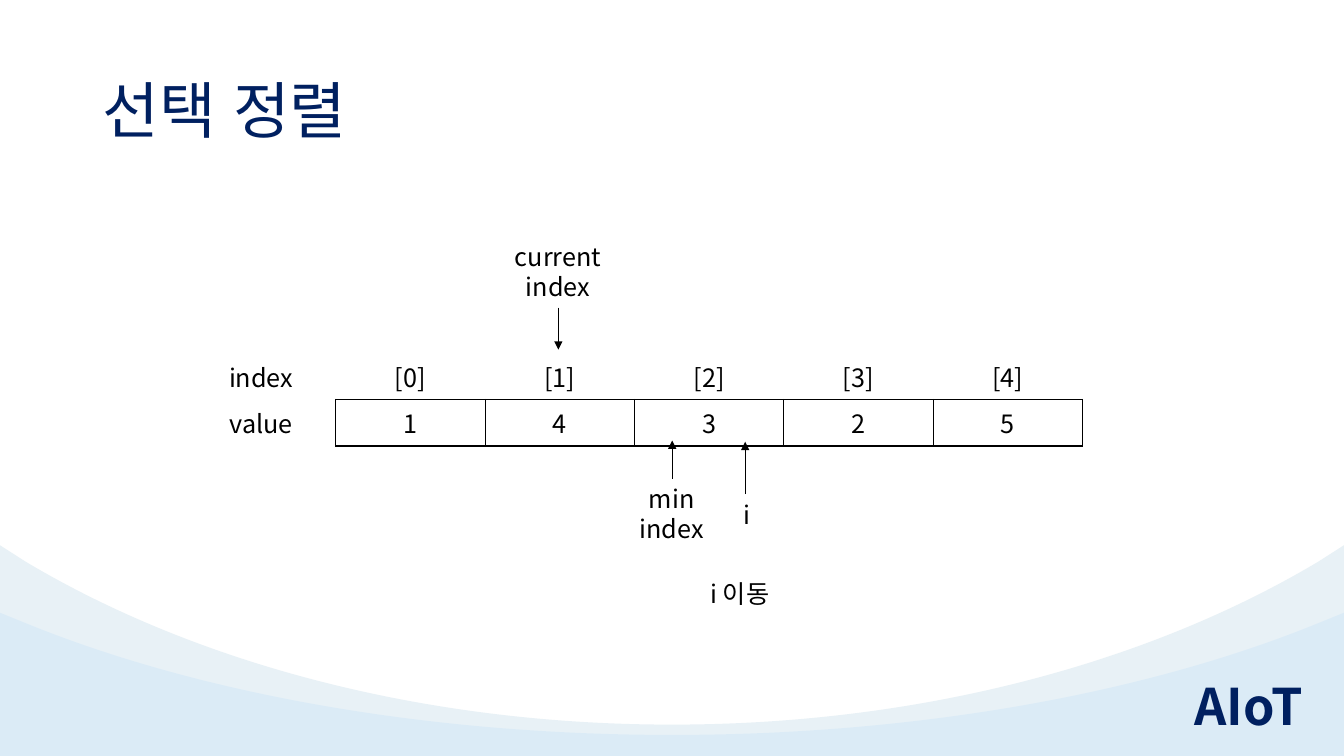
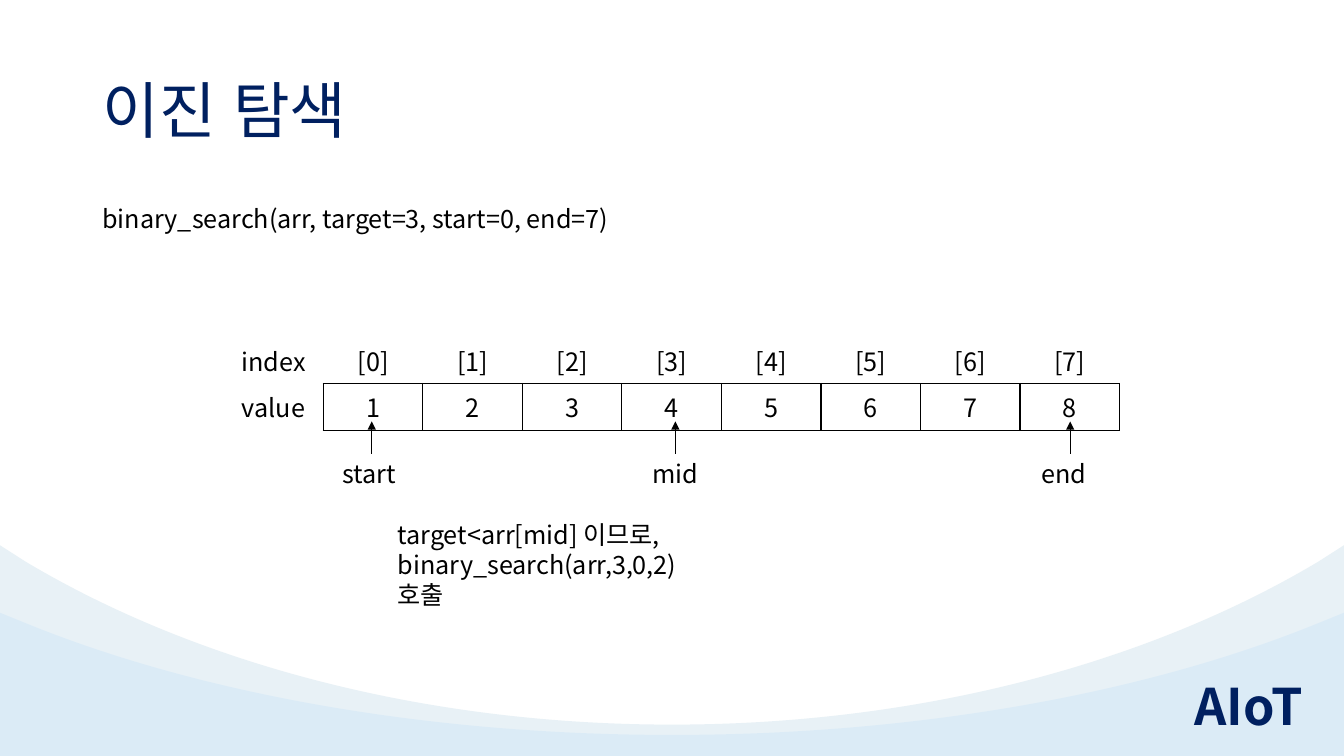
from lxml import etree
from pptx import Presentation
from pptx.dml.color import RGBColor
from pptx.enum import lang, shapes, text
from pptx.oxml.ns import qn
from pptx.util import Cm, Pt

FONT = "Noto Sans CJK KR"
NAVY = RGBColor(0x00, 0x20, 0x60)
BLACK = RGBColor(0x00, 0x00, 0x00)
WHITE = RGBColor(0xFF, 0xFF, 0xFF)
PALE = RGBColor(0xE8, 0xF1, 0xF6)
SKY = RGBColor(0x7A, 0xC2, 0xF9)
LEFT, CENTER = text.PP_ALIGN.LEFT, text.PP_ALIGN.CENTER
W, H = 33.87, 19.05
TABLE_W, ROW_H = 22.58, 1.03


def write(p, words, size=18, color=BLACK, align=LEFT, bold=False):
    p.text = words
    p.alignment = align
    p.font.size, p.font.name, p.font.bold = Pt(size), FONT, bold
    p.font.color.rgb = color
    props = p._p.get_or_add_pPr().get_or_add_defRPr()
    etree.SubElement(props, qn("a:ea"), typeface=FONT)


def add_text(s, words, x, y, w, h=1.03, **style):
    sp = s.shapes.add_textbox(Cm(x), Cm(y), Cm(w), Cm(h))
    sp.text_frame.word_wrap = True
    write(sp.text_frame.paragraphs[0], words, **style)
    return sp


# Content: table is (left, top, values); labels are (words, x, y, width, align);
# arrows are (x, tail y, head y)
SLIDES = [
    dict(title="선택 정렬",
         table=(4.7, 8.89, "14325"),
         arrows=[(14.07, 7.75, 8.81), (16.94, 12.07, 11.1),
                 (18.78, 12.45, 11.13)],
         labels=[("current index", 12.59, 5.96, 2.95, CENTER),
                 ("min\nindex", 15.75, 12.06, 2.36, CENTER),
                 ("i", 18.49, 12.45, 0.61, LEFT),
                 ("i 이동", 17.65, 14.45, 2.4, LEFT)]),
    dict(title="이진 탐색",
         table=(5.64, 8.49, "12345678"),
         arrows=[(x, 11.43, 10.62) for x in (9.37, 17.02, 26.97)],
         labels=[("binary_search(arr, target=3, start=0, end=7)",
                  2.33, 5, 29.21, LEFT),
                 ("start", 8.38, 11.43, 1.96, LEFT),
                 ("mid", 16.19, 11.43, 1.68, LEFT),
                 ("end", 25.99, 11.43, 1.96, LEFT),
                 ("target<arr[mid] 이므로,\nbinary_search(arr,3,0,2) 호출",
                  9.77, 12.95, 8.56, LEFT)]),
]

prs = Presentation()
prs.slide_width, prs.slide_height = Cm(W), Cm(H)
layout = prs.slide_layouts[5]

for number, content in enumerate(SLIDES):
    s = prs.slides.add_slide(layout)

    # Shared bands and footer: drawn once, then moved to the layout
    if number == 0:
        decor = []
        # y of the edge, the shoulder, and two handles; the last is the middle
        for ys, color in [((13.74, 14.15, 16.71, 18.26, 18.26), PALE),
                          ((15.44, 15.7, 17.45, 18.52, 18.52), SKY)]:
            half = list(zip((0, 0.64, 4.93, 10.67, W / 2), ys))
            outline = half + [(W - x, y) for x, y in half[-2::-1]]
            outline += [(W, H), (0, H)]
            points = [(Cm(x), Cm(y)) for x, y in outline]
            builder = s.shapes.build_freeform(*points[0])
            builder.add_line_segments(points[1:], close=True)
            sp = builder.convert_to_shape()
            # Each half's two handles and end point become one Bezier curve
            outline_path = sp.element.find(".//" + qn("a:path"))
            lines = outline_path.findall(qn("a:lnTo"))
            for first in (1, 4):
                curve = etree.Element(qn("a:cubicBezTo"))
                lines[first].addprevious(curve)
                for line in lines[first:first + 3]:
                    curve.append(line[0])
                    outline_path.remove(line)
            sp.shadow.inherit = False
            sp.fill.solid()
            sp.fill.fore_color.rgb = color
            sp.line.fill.background()
            decor.append(sp)
        tint = decor[1].element.spPr.find(".//" + qn("a:srgbClr"))
        etree.SubElement(tint, qn("a:alpha"), val="11000")
        decor.append(add_text(s, "AIoT", 29.85, 16.88, 3.35, 1.8,
                              size=36, color=NAVY, bold=True))
        for sp in decor:
            layout.shapes.element.append(sp.element)

    # Title
    title = s.shapes.title
    title.left, title.top = Cm(2.33), Cm(1.01)
    title.width, title.height = Cm(29.21), Cm(3.68)
    tf = title.text_frame
    tf.auto_size = text.MSO_AUTO_SIZE.NONE
    tf.vertical_anchor = text.MSO_ANCHOR.MIDDLE
    p = tf.paragraphs[0]
    write(p, content["title"], 44, NAVY)
    p.font.language_id = lang.MSO_LANGUAGE_ID.KOREAN
    p.line_spacing = 0.9

    # Array table: indices above boxed values
    x, y, values = content["table"]
    rows = [["index"] + [f"[{i}]" for i in range(len(values))],
            ["value", *values]]
    table = s.shapes.add_table(2, len(rows[0]), Cm(x), Cm(y),
                               Cm(TABLE_W), Cm(2 * ROW_H)).table
    table.first_row = table.horz_banding = False
    for r, row in enumerate(rows):
        for c, words in enumerate(row):
            cell = table.cell(r, c)
            write(cell.text_frame.paragraphs[0], words, align=CENTER)
            if c:
                black_sides = "LRTB" if r else "B"
            else:
                black_sides = "R" if r else ""
            props = cell._tc.get_or_add_tcPr()
            for side in "LRTB":
                ln = etree.SubElement(props, qn("a:ln" + side), w=str(Pt(1)))
                fill = etree.SubElement(ln, qn("a:solidFill"))
                color = BLACK if side in black_sides else WHITE
                etree.SubElement(fill, qn("a:srgbClr"), val=str(color))
            cell.fill.solid()
            cell.fill.fore_color.rgb = WHITE

    # Pointer arrows
    for x, tail, head in content["arrows"]:
        arrow = s.shapes.add_connector(shapes.MSO_CONNECTOR.STRAIGHT,
                                       Cm(x), Cm(tail), Cm(x), Cm(head))
        arrow.line.color.rgb = BLACK
        arrow.line.width = Pt(0.5)
        etree.SubElement(arrow.line._get_or_add_ln(), qn("a:tailEnd"),
                         type="triangle")
        etree.SubElement(arrow.element.spPr, qn("a:effectLst"))

    # Labels and notes
    for words, x, y, w, align in content["labels"]:
        add_text(s, words, x, y, w, align=align)

prs.save("out.pptx")
